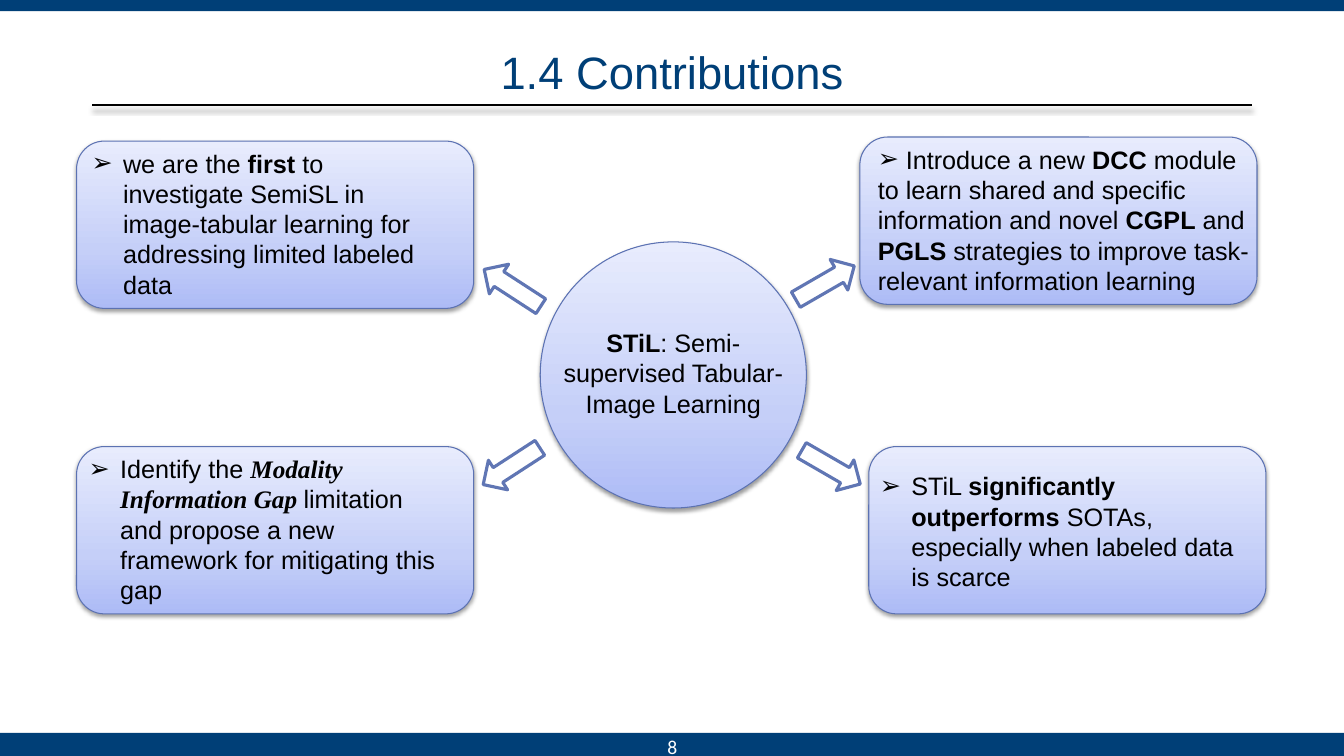
from dataclasses import dataclass

from lxml.etree import SubElement
from pptx import Presentation
from pptx.dml.color import RGBColor
from pptx.enum.shapes import MSO_CONNECTOR, MSO_SHAPE as Shape
from pptx.enum.text import MSO_ANCHOR as Anchor, PP_ALIGN as Align
from pptx.oxml.ns import qn
from pptx.util import Pt

NAVY = RGBColor(0x00, 0x3F, 0x77)
BLACK = RGBColor(0x00, 0x00, 0x00)
WHITE = RGBColor(0xFF, 0xFF, 0xFF)
PANEL_LINE = RGBColor(0x5C, 0x72, 0xB2)
ARROW_LINE = RGBColor(0x60, 0x76, 0xB4)
PANEL_STOPS = (
    (0, RGBColor(0xAD, 0xBB, 0xF6)),
    (35, RGBColor(0xC5, 0xCF, 0xF8)),
    (100, RGBColor(0xE8, 0xEC, 0xFD)),
)
SLIDE_W, SLIDE_H = 960, 540
PANEL_W, PANEL_H = 283.7, 119.5
ARROW_W, ARROW_H = 48.2, 25.2
HANG = 22.5


@dataclass(frozen=True)
class Box:
    left: float
    top: float
    width: float
    height: float

    def lengths(self) -> tuple:
        return Pt(self.left), Pt(self.top), Pt(self.width), Pt(self.height)


@dataclass(frozen=True)
class Contribution:
    panel_left: float
    panel_top: float
    text_box: Box
    text: str
    arrow_left: float
    arrow_top: float
    arrow_angle: float
    hang: float = HANG
    serif_emphasis: bool = False


CONTRIBUTIONS = (
    Contribution(
        620.6, 319, Box(621.4, 332.6, 281.5, 94.3),
        "STiL |significantly outperforms |SOTAs, especially when labeled data is scarce",
        569.5, 321.1, 210),
    Contribution(
        614.2, 97.9, Box(619.9, 99.4, 281.5, 116.6),
        " Introduce a new |DCC| module to learn shared and specific information and "
        "novel |CGPL| and |PGLS| strategies to improve task-relevant information learning",
        565.2, 189.4, 150, hang=0),
    Contribution(
        54.7, 319, Box(56.2, 320.4, 272.2, 116.6),
        "Identify the |Modality Information Gap |limitation and propose a new "
        "framework for mitigating this gap",
        341.3, 320.4, 327, serif_emphasis=True),
    Contribution(
        54.7, 100.8, Box(58.3, 102.2, 268.6, 116.6),
        "we are the| first |to investigate SemiSL in image-tabular learning for "
        "addressing limited labeled data",
        342, 193, 33),
)


def add_shadow(sp, alpha: int, blur: float, distance: float) -> None:
    effects = sp._element.spPr.find(qn("a:effectLst"))
    if effects is None:
        effects = SubElement(sp._element.spPr, qn("a:effectLst"))
    shadow = SubElement(effects, qn("a:outerShdw"), blurRad=str(Pt(blur)),
                        dist=str(Pt(distance)), dir="5400000", rotWithShape="0")
    color = SubElement(shadow, qn("a:srgbClr"), val=str(BLACK))
    SubElement(color, qn("a:alpha"), val=str(alpha * 1000))


def add_bar(s, box: Box) -> None:
    sp = s.shapes.add_shape(Shape.RECTANGLE, *box.lengths())
    sp.shadow.inherit = False
    sp.fill.solid()
    sp.fill.fore_color.rgb = NAVY
    sp.line.fill.background()


def add_panel(s, kind: Shape, box: Box) -> None:
    sp = s.shapes.add_shape(kind, *box.lengths())
    sp.shadow.inherit = False
    sp.fill.gradient()
    sp.fill.gradient_angle = 90
    stops = sp._element.spPr.find(f".//{qn('a:gsLst')}")
    stops.clear()
    for position, rgb in PANEL_STOPS:
        stop = SubElement(stops, qn("a:gs"), pos=str(position * 1000))
        SubElement(stop, qn("a:srgbClr"), val=str(rgb))
    sp.line.color.rgb = PANEL_LINE
    sp.line.width = Pt(0.75)
    add_shadow(sp, 38, 3.1, 1.6)


def add_arrow(s, left: float, top: float, angle: float) -> None:
    sp = s.shapes.add_shape(Shape.LEFT_ARROW, *Box(left, top, ARROW_W, ARROW_H).lengths())
    sp.shadow.inherit = False
    sp.rotation = angle
    sp.fill.solid()
    sp.fill.fore_color.rgb = WHITE
    sp.line.color.rgb = ARROW_LINE
    sp.line.width = Pt(2.25)


def add_rule(s, left: float, right: float, y: float) -> None:
    rule = s.shapes.add_connector(MSO_CONNECTOR.STRAIGHT, Pt(left), Pt(y), Pt(right), Pt(y))
    rule.line.color.rgb = BLACK
    rule.line.width = Pt(1.5)
    add_shadow(rule, 40, 4, 3)


def add_paragraph_box(s, box: Box, anchor: Anchor = Anchor.TOP):
    tf = s.shapes.add_textbox(*box.lengths()).text_frame
    tf.word_wrap = True
    tf.vertical_anchor = anchor
    return tf.paragraphs[0]


def add_label(s, box: Box, text: str, font: str, size: float, rgb: RGBColor):
    p = add_paragraph_box(s, box, Anchor.MIDDLE)
    p.text = text
    p.alignment = Align.CENTER
    r = p.runs[0]
    r.font.name, r.font.size, r.font.color.rgb = font, Pt(size), rgb
    return p


def add_runs(p, text: str, serif_emphasis: bool = False) -> None:
    for index, part in enumerate(text.split("|")):
        if not part:
            continue
        emphasis = index % 2 == 1
        serif = emphasis and serif_emphasis
        r = p.add_run()
        r.text = part
        r.font.name = "Times New Roman" if serif else "Arial"
        r.font.size = Pt(18)
        r.font.color.rgb = BLACK
        r.font.bold = emphasis
        r.font.italic = serif


def add_bullet(p, hang: float) -> None:
    pPr = p._p.get_or_add_pPr()
    pPr.set("marL", str(Pt(hang)))
    pPr.set("indent", str(-Pt(hang)))
    SubElement(pPr, qn("a:buFont"), typeface="Arial")
    SubElement(pPr, qn("a:buChar"), char="➢")


def main() -> None:
    prs = Presentation()
    prs.slide_width, prs.slide_height = Pt(SLIDE_W), Pt(SLIDE_H)
    s = prs.slides.add_slide(prs.slide_layouts[6])

    add_bar(s, Box(0, 0, SLIDE_W, 7.9))
    add_bar(s, Box(0, 523.5, SLIDE_W, 20))
    add_rule(s, 66, 894, 74.9)
    title = add_label(s, Box(66, 33.1, 828, 41), "1.4 Contributions", "Arial", 32.4, NAVY)
    title.line_spacing = 0.9
    add_label(s, Box(372.2, 518.6, 216, 28.8), "8", "Calibri", 14, WHITE)

    for item in CONTRIBUTIONS:
        add_panel(s, Shape.ROUNDED_RECTANGLE,
                  Box(item.panel_left, item.panel_top, PANEL_W, PANEL_H))
    add_panel(s, Shape.OVAL, Box(385.9, 172.8, 190.1, 190.1))

    center = add_paragraph_box(s, Box(385.2, 230.4, 191.5, 72.7))
    center.alignment = Align.CENTER
    add_runs(center, "|STiL|: Semi-supervised Tabular-Image Learning")

    for item in CONTRIBUTIONS:
        p = add_paragraph_box(s, item.text_box)
        add_bullet(p, item.hang)
        add_runs(p, item.text, item.serif_emphasis)
        add_arrow(s, item.arrow_left, item.arrow_top, item.arrow_angle)

    prs.save("out.pptx")


if __name__ == "__main__":
    main()
